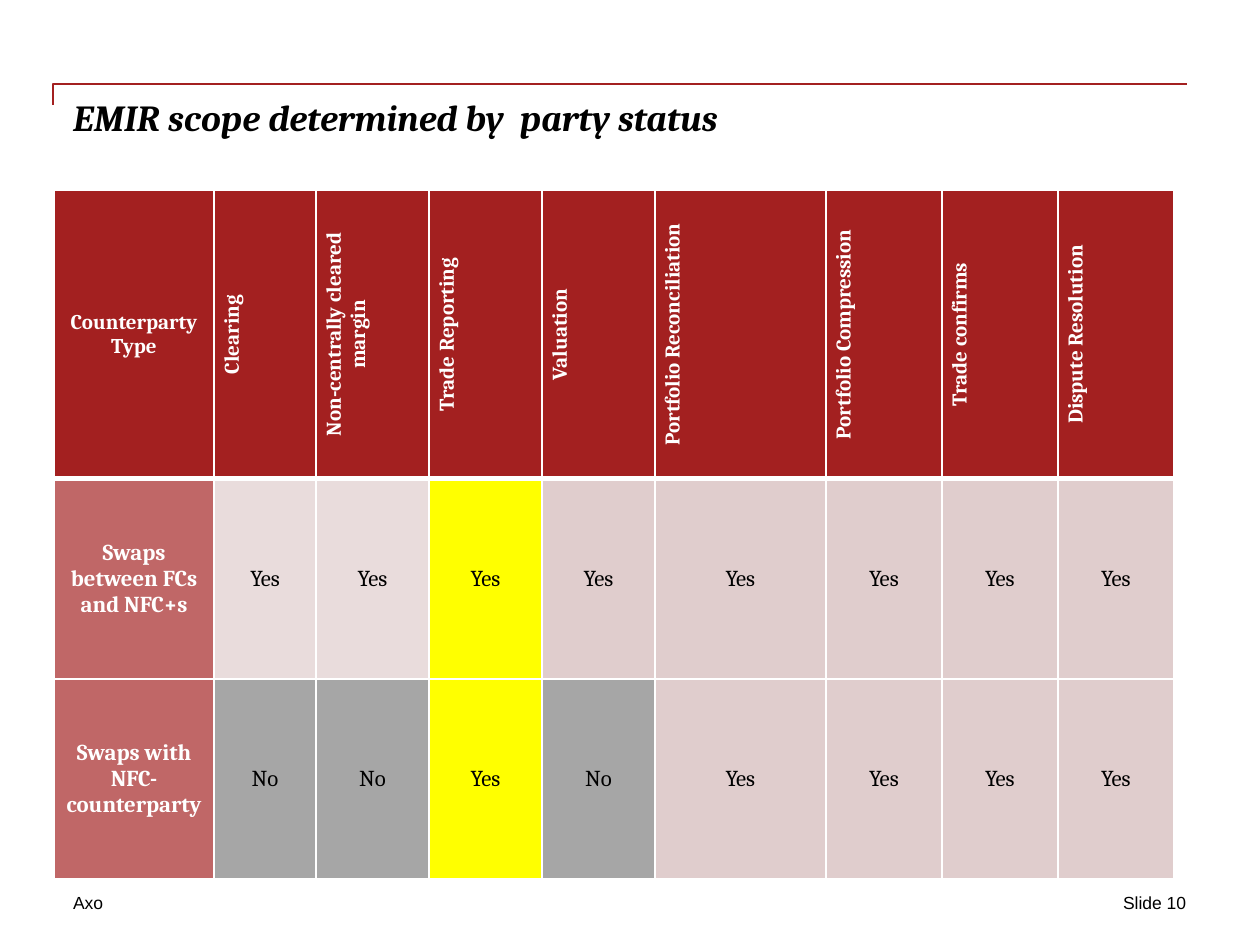
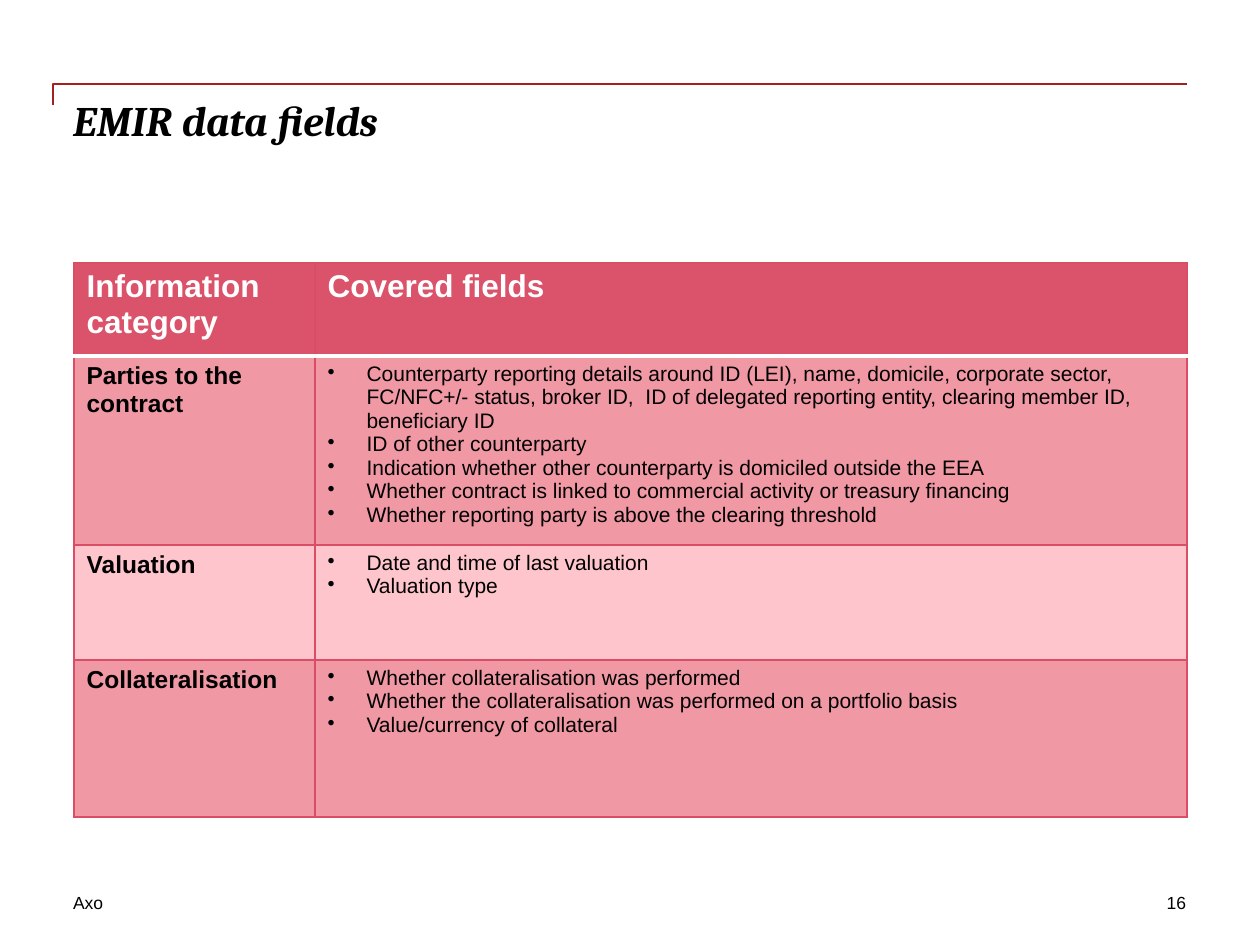
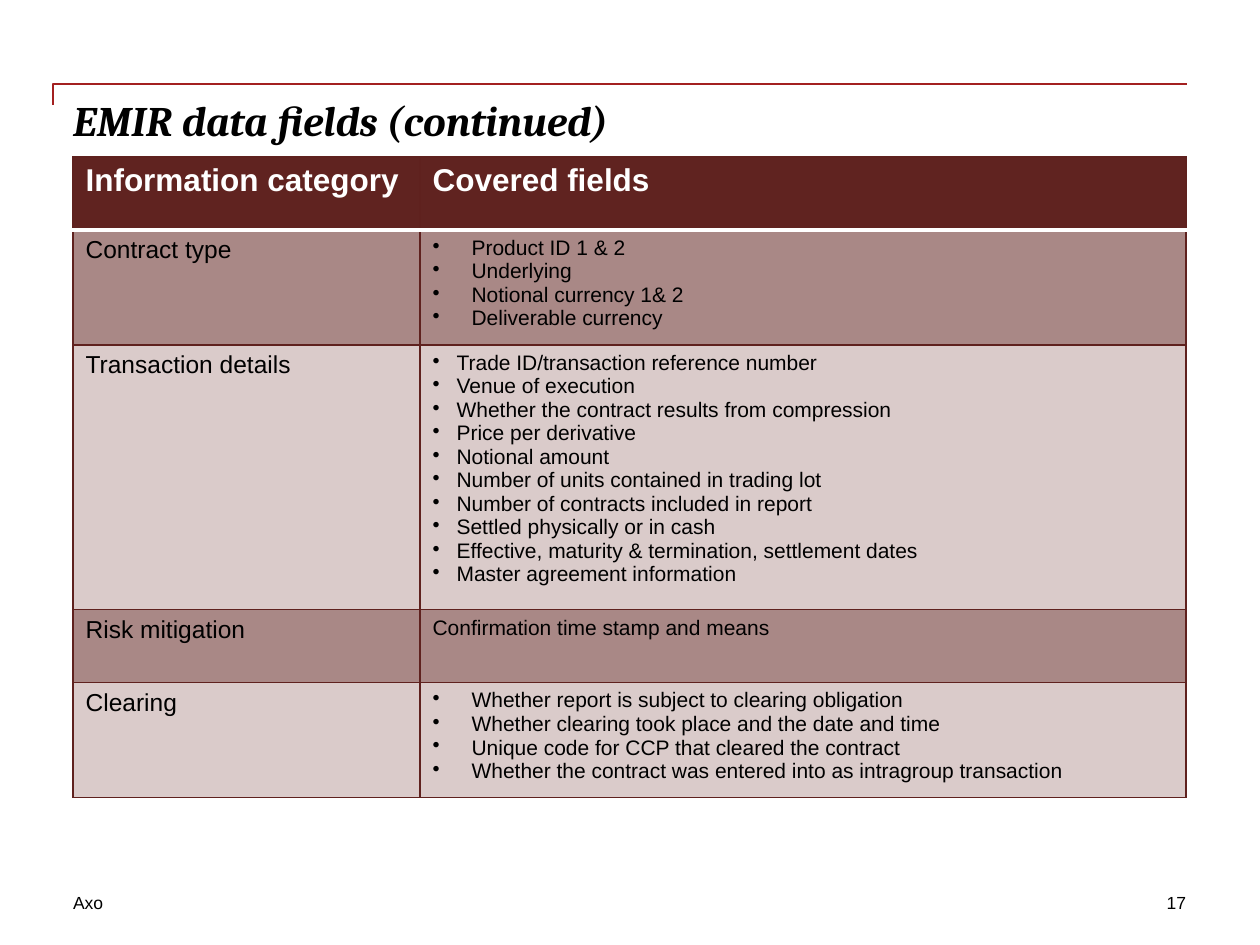
import lxml.etree
import pptx
import pptx.dml.color
import pptx.enum.shapes
import pptx.enum.text
import pptx.oxml.ns
import pptx.util

RGB = pptx.dml.color.RGBColor
ALIGN = pptx.enum.text.PP_ALIGN
ANCHOR = pptx.enum.text.MSO_ANCHOR
qn = pptx.oxml.ns.qn

BLACK = RGB(0x00, 0x00, 0x00)
WHITE = RGB(0xFF, 0xFF, 0xFF)
CRIMSON = RGB(0xA3, 0x20, 0x20)
CRIMSON_SOFT = RGB(0xC0, 0x67, 0x67)
BLUSH = RGB(0xE0, 0xCD, 0xCD)
BLUSH_PALE = RGB(0xE9, 0xDC, 0xDC)
YELLOW = RGB(0xFF, 0xFF, 0x00)
GREY = RGB(0xA6, 0xA6, 0xA6)
ROSE = RGB(0xDB, 0x53, 0x6A)
ROSE_LINE = RGB(0xD9, 0x4E, 0x65)
ROSE_BAND = RGB(0xF1, 0x98, 0xA5)
ROSE_PALE = RGB(0xFF, 0xC5, 0xCC)
MAROON = RGB(0x60, 0x23, 0x20)
MAROON_LINE = RGB(0x5F, 0x21, 0x1E)
MAROON_BAND = RGB(0xA9, 0x88, 0x86)
MAROON_PALE = RGB(0xDA, 0xCB, 0xCA)

SERIF, SANS = "Cambria", "Arial"
FIRM = "Axo"
PX_PER_INCH = 126
SLIDE_SIZE = (1260, 945)
TITLE_BOX = (73, 95, 1113, 126)
FOOTER_BOX = (73, 892, 1113, 21)
RULE_BOX = (53, 84, 1134, 21)

DUTIES = ["Clearing", "Non-centrally cleared margin", "Trade Reporting",
          "Valuation", "Portfolio Reconciliation", "Portfolio Compression",
          "Trade confirms", "Dispute Resolution"]
SCOPE = [
    ("Swaps between FCs and NFC+s", ["Yes"] * 8,
     [BLUSH_PALE] * 2 + [YELLOW] + [BLUSH] * 5),
    ("Swaps with NFC- counterparty",
     ["No", "No", "Yes", "No"] + ["Yes"] * 4,
     [GREY, GREY, YELLOW, GREY] + [BLUSH] * 4),
]

# Each row: category, bullet indent in px, covered fields
PARTY_FIELDS = [
    ("Parties to the contract", 39, [
        "Counterparty reporting details around ID (LEI), name, domicile, "
        "corporate sector, FC/NFC+/- status, broker ID,  ID of delegated "
        "reporting entity, clearing member ID, beneficiary ID",
        "ID of other counterparty",
        "Indication whether other counterparty is domiciled outside the EEA",
        "Whether contract is linked to commercial activity or treasury financing",
        "Whether reporting party is above the clearing threshold"]),
    ("Valuation", 39, ["Date and time of last valuation", "Valuation type"]),
    ("Collateralisation", 39, [
        "Whether collateralisation was performed",
        "Whether the collateralisation was performed on a portfolio basis",
        "Value/currency of collateral"]),
]
CONTRACT_FIELDS = [
    ("Contract type", 39, [
        "Product ID 1 & 2", "Underlying", "Notional currency 1& 2",
        "Deliverable currency"]),
    ("Transaction details", 24, [
        "Trade ID/transaction reference number",
        "Venue of execution",
        "Whether the contract results from compression",
        "Price per derivative",
        "Notional amount",
        "Number of units contained in trading lot",
        "Number of contracts included in report",
        "Settled physically or in cash",
        "Effective, maturity & termination, settlement dates",
        "Master agreement information"]),
    ("Risk mitigation", 0, ["Confirmation time stamp and means"]),
    ("Clearing", 39, [
        "Whether report is subject to clearing obligation",
        "Whether clearing took place and the date and time",
        "Unique code for CCP that cleared the contract",
        "Whether the contract was entered into as intragroup transaction"]),
]


def px(length):
    return pptx.util.Emu(round(length * 914400 / PX_PER_INCH))


def write_text(frame, lines, font=SANS, size=12, color=BLACK, bold=False,
               italic=False, align=ALIGN.LEFT, bullet_indent=0):
    for index, line in enumerate(lines):
        paragraph = frame.add_paragraph() if index else frame.paragraphs[0]
        paragraph.alignment = align
        run = paragraph.add_run()
        run.text = line
        run.font.name, run.font.size = font, pptx.util.Pt(size)
        run.font.bold, run.font.italic = bold, italic
        run.font.color.rgb = color
        if bullet_indent:
            properties = paragraph._p.get_or_add_pPr()
            properties.set("marL", str(px(bullet_indent)))
            properties.set("indent", str(-px(bullet_indent)))
            bullet = lxml.etree.SubElement(properties, qn("a:buChar"))
            bullet.set("char", "•")


def add_label(slide, box, text, **text_format):
    frame = slide.shapes.add_textbox(*map(px, box)).text_frame
    frame.word_wrap = True
    frame.margin_left = frame.margin_right = 0
    frame.margin_top = frame.margin_bottom = 0
    write_text(frame, [text], **text_format)


def add_corner_rule(slide, box):
    """Draw a line up the left side of the box, then along its top."""
    left, top, width, height = box
    center_x, center_y = left + width / 2, top + height / 2
    # The bend is laid out upright around the centre, then turned by 90 degrees
    rule = slide.shapes.add_connector(
        pptx.enum.shapes.MSO_CONNECTOR.ELBOW,
        px(center_x + height / 2), px(center_y + width / 2),
        px(center_x - height / 2), px(center_y - width / 2))
    rule.line.color.rgb = CRIMSON
    rule.line.width = pptx.util.Pt(1)
    properties = rule._element.spPr
    properties.find(qn("a:xfrm")).set("rot", "5400000")
    properties.find(qn("a:prstGeom")).set("prst", "bentConnector2")
    lxml.etree.SubElement(properties, qn("a:effectLst"))


def add_page(deck, title, title_size, page_label):
    slide = deck.slides.add_slide(deck.slide_layouts[6])
    add_corner_rule(slide, RULE_BOX)
    add_label(slide, TITLE_BOX, title, font=SERIF, size=title_size,
              bold=True, italic=True)
    add_label(slide, FOOTER_BOX, FIRM, size=10)
    add_label(slide, FOOTER_BOX, page_label, size=10, align=ALIGN.RIGHT)
    return slide


def set_borders(cell, borders):
    """Give the cell its (colour, points) lines: left, right, top, bottom."""
    properties = cell._tc.get_or_add_tcPr()
    for position, (side, (color, points)) in enumerate(zip("LRTB", borders)):
        border = lxml.etree.Element(qn(f"a:ln{side}"))
        border.set("w", str(pptx.util.Pt(points)))
        fill = lxml.etree.SubElement(border, qn("a:solidFill"))
        lxml.etree.SubElement(fill, qn("a:srgbClr")).set("val", str(color))
        properties.insert(position, border)


def add_grid(slide, origin, widths, heights, line, header_rule):
    """Add an empty table whose header is closed by a heavier rule."""
    box = (*origin, sum(widths), sum(heights))
    table = slide.shapes.add_table(
        len(heights), len(widths), *map(px, box)).table
    table.first_row = table.horz_banding = False
    for column, width in zip(table.columns, widths):
        column.width = px(width)
    for index, (row, height) in enumerate(zip(table.rows, heights)):
        row.height = px(height)
        top = header_rule if index == 1 else line
        bottom = header_rule if index == 0 else line
        for cell in row.cells:
            set_borders(cell, (line, line, top, bottom))
    return table


def fill_cell(cell, lines, fill, **text_format):
    cell.fill.solid()
    cell.fill.fore_color.rgb = fill
    write_text(cell.text_frame, lines, **text_format)


def add_scope_table(slide, origin):
    widths = [160, 102] + [113] * 3 + [171] + [116] * 3
    table = add_grid(slide, origin, widths, [199, 200, 200],
                     (WHITE, 1), (WHITE, 3))
    for cell in table.iter_cells():
        cell.vertical_anchor = ANCHOR.MIDDLE
        cell.margin_left = cell.margin_right = px(11)
        cell.margin_top = cell.margin_bottom = px(6)
    centered = {"font": SERIF, "align": ALIGN.CENTER}
    heading = {**centered, "color": WHITE, "bold": True}

    # Header: the duties read upwards
    for column, text in enumerate(["Counterparty Type"] + DUTIES):
        cell = table.cell(0, column)
        fill_cell(cell, [text], CRIMSON, **heading)
        if column:
            cell._tc.get_or_add_tcPr().set("vert", "vert270")

    # One row for each counterparty type
    for row, (counterparty, answers, fills) in enumerate(SCOPE, 1):
        fill_cell(table.cell(row, 0), [counterparty], CRIMSON_SOFT,
                  size=13, **heading)
        for column, (answer, fill) in enumerate(zip(answers, fills), 1):
            fill_cell(table.cell(row, column), [answer], fill,
                      size=13, **centered)


def add_fields_table(slide, origin, widths, heights, rows, header_fill,
                     line_color, bands, bold_categories):
    table = add_grid(slide, origin, widths, heights,
                     (line_color, 0.75), (WHITE, 2))
    for column, text in enumerate(["Information category", "Covered fields"]):
        fill_cell(table.cell(0, column), [text], header_fill,
                  size=18, color=WHITE, bold=True)
    for row, (category, indent, fields) in enumerate(rows, 1):
        band = bands[(row - 1) % 2]
        fill_cell(table.cell(row, 0), [category], band, size=14,
                  bold=bold_categories)
        fill_cell(table.cell(row, 1), fields, band, bullet_indent=indent)


def main():
    deck = pptx.Presentation()
    deck.slide_width, deck.slide_height = map(px, SLIDE_SIZE)

    scope = add_page(deck, "EMIR scope determined by  party status", 21,
                     "Slide 10")
    add_scope_table(scope, (54, 190))

    party_data = add_page(deck, "EMIR data fields", 24, "16")
    add_fields_table(party_data, (74, 263), [241, 872], [93, 157, 115, 157],
                     PARTY_FIELDS, ROSE, ROSE_LINE, (ROSE_BAND, ROSE_PALE),
                     bold_categories=True)

    contract_data = add_page(deck, "EMIR data fields (continued)", 24, "17")
    add_fields_table(contract_data, (73, 157), [347, 766],
                     [73, 115, 257, 73, 115], CONTRACT_FIELDS, MAROON,
                     MAROON_LINE, (MAROON_BAND, MAROON_PALE),
                     bold_categories=False)

    deck.save("out.pptx")


if __name__ == "__main__":
    main()
